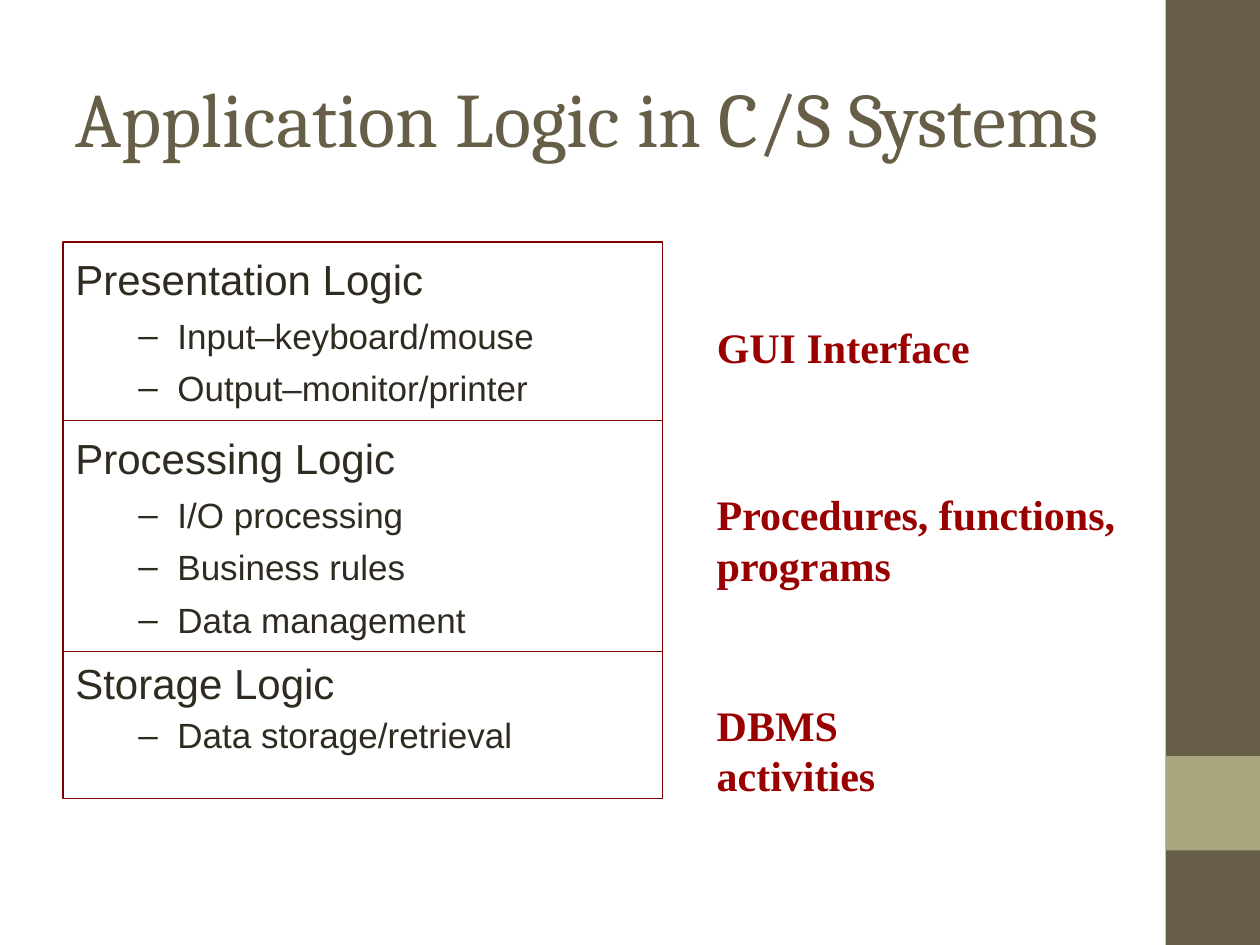
from lxml import etree
from pptx import Presentation
from pptx.dml.color import RGBColor
from pptx.enum.shapes import MSO_SHAPE
from pptx.enum.text import MSO_ANCHOR, PP_ALIGN
from pptx.oxml.ns import qn
from pptx.util import Inches, Pt

BROWN = RGBColor(0x67, 0x5E, 0x47)
OLIVE = RGBColor(0xA9, 0xA5, 0x7C)
INK = RGBColor(0x2F, 0x2B, 0x20)
RED = RGBColor(0x99, 0x00, 0x00)
MAROON = RGBColor(0x80, 0x00, 0x00)


class SlideBuilder:
    title_font, body_font, label_font = "Cambria", "Arial", "Times New Roman"

    def __init__(self, slide):
        self.slide = slide

    def format_runs(self, p, font, size, color, bold=False):
        for r in p.runs:
            r.font.name = font
            r.font.size = Pt(size)
            r.font.color.rgb = color
            r.font.bold = bold

    def rect(self, x, y, w, h, fill=None, line=None):
        sp = self.slide.shapes.add_shape(
            MSO_SHAPE.RECTANGLE, Inches(x), Inches(y), Inches(w), Inches(h))
        sp.shadow.inherit = False
        if fill is None:
            sp.fill.background()
        else:
            sp.fill.solid()
            sp.fill.fore_color.rgb = fill
        if line is None:
            sp.line.fill.background()
        else:
            sp.line.color.rgb = line
            sp.line.width = Pt(0.75)
        return sp

    def text_box(self, x, y, w, h, text, font, size, color, bold=False):
        sp = self.slide.shapes.add_textbox(
            Inches(x), Inches(y), Inches(w), Inches(h))
        tf = sp.text_frame
        tf.text = text
        for p in tf.paragraphs:
            self.format_runs(p, font, size, color, bold)
        return tf

    def title(self, text):
        tf = self.text_box(0.5, 0.3, 8.33, 1.25, text,
                           self.title_font, 44, BROWN)
        tf.word_wrap = True
        tf.margin_left = tf.margin_right = 0
        tf.vertical_anchor = MSO_ANCHOR.MIDDLE
        tf.paragraphs[0].alignment = PP_ALIGN.CENTER

    def label(self, x, y, w, h, text):
        tf = self.text_box(x, y, w, h, text, self.label_font, 24, RED, True)
        tf.word_wrap = False

    def dash_bullet(self, p):
        pPr = p._p.get_or_add_pPr()
        pPr.set("marL", str(Inches(0.81)))
        pPr.set("indent", str(Inches(-0.31)))
        color = etree.SubElement(pPr, qn("a:buClr"))
        etree.SubElement(color, qn("a:srgbClr"), val=str(INK))
        etree.SubElement(pPr, qn("a:buFont"), typeface=self.body_font)
        etree.SubElement(pPr, qn("a:buChar"), char="–")

    def logic_box(self, y, h, heading, items, spacing):
        sp = self.rect(0.5, y, 4.76, h, line=MAROON)
        tf = sp.text_frame
        tf.word_wrap = True
        tf.vertical_anchor = MSO_ANCHOR.TOP
        tf.margin_top = Inches(0.09)
        tf.text = "\n".join([heading, *items])
        for i, p in enumerate(tf.paragraphs):
            p.alignment = PP_ALIGN.LEFT
            p.line_spacing = spacing
            if i:
                p.level = 1
                p.space_before = Pt(6)
                self.dash_bullet(p)
            self.format_runs(p, self.body_font, 20 if i else 24, INK)


def main():
    prs = Presentation()
    prs.slide_width, prs.slide_height = Inches(10), Inches(7.5)
    s = SlideBuilder(prs.slides.add_slide(prs.slide_layouts[6]))

    # Side band
    s.rect(9.25, 0, 0.75, 7.5, fill=BROWN)
    s.rect(9.25, 6, 0.75, 0.75, fill=OLIVE)

    s.title("Application Logic in C/S Systems")

    # Stacked logic layers: height, heading, items, line spacing
    layers = [
        (1.42, "Presentation Logic",
         ["Input–keyboard/mouse", "Output–monitor/printer"], 1.0),
        (1.83, "Processing Logic",
         ["I/O processing", "Business rules", "Data management"], 1.0),
        (1.17, "Storage Logic", ["Data storage/retrieval"], 0.9),
    ]
    y = 1.92
    for h, heading, items, spacing in layers:
        s.logic_box(y, h, heading, items, spacing)
        y += h

    # Labels beside the layers
    s.label(5.59, 2.5, 2.21, 0.5, "GUI Interface")
    s.label(5.59, 3.83, 3.37, 0.9, "Procedures, functions,\nprograms")
    s.label(5.59, 5.5, 2.5, 0.5, "DBMS activities")

    prs.save("out.pptx")


if __name__ == "__main__":
    main()
